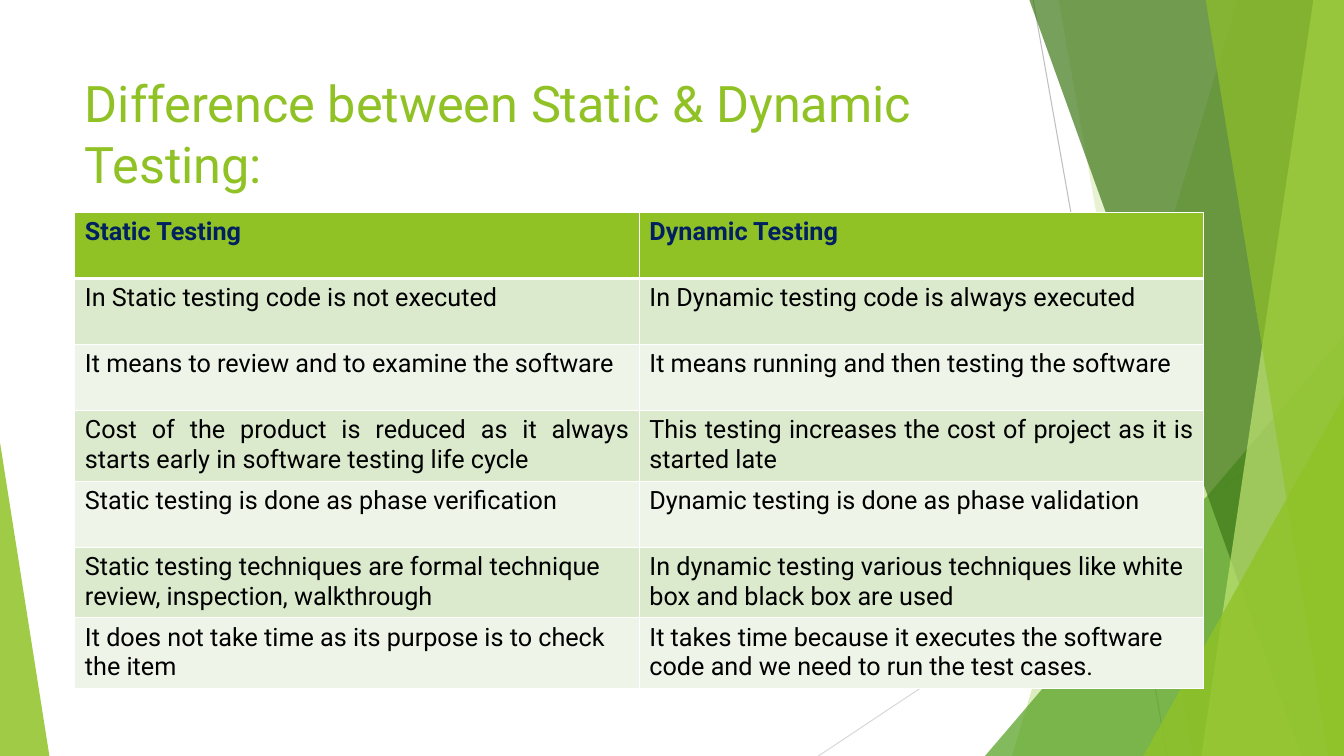
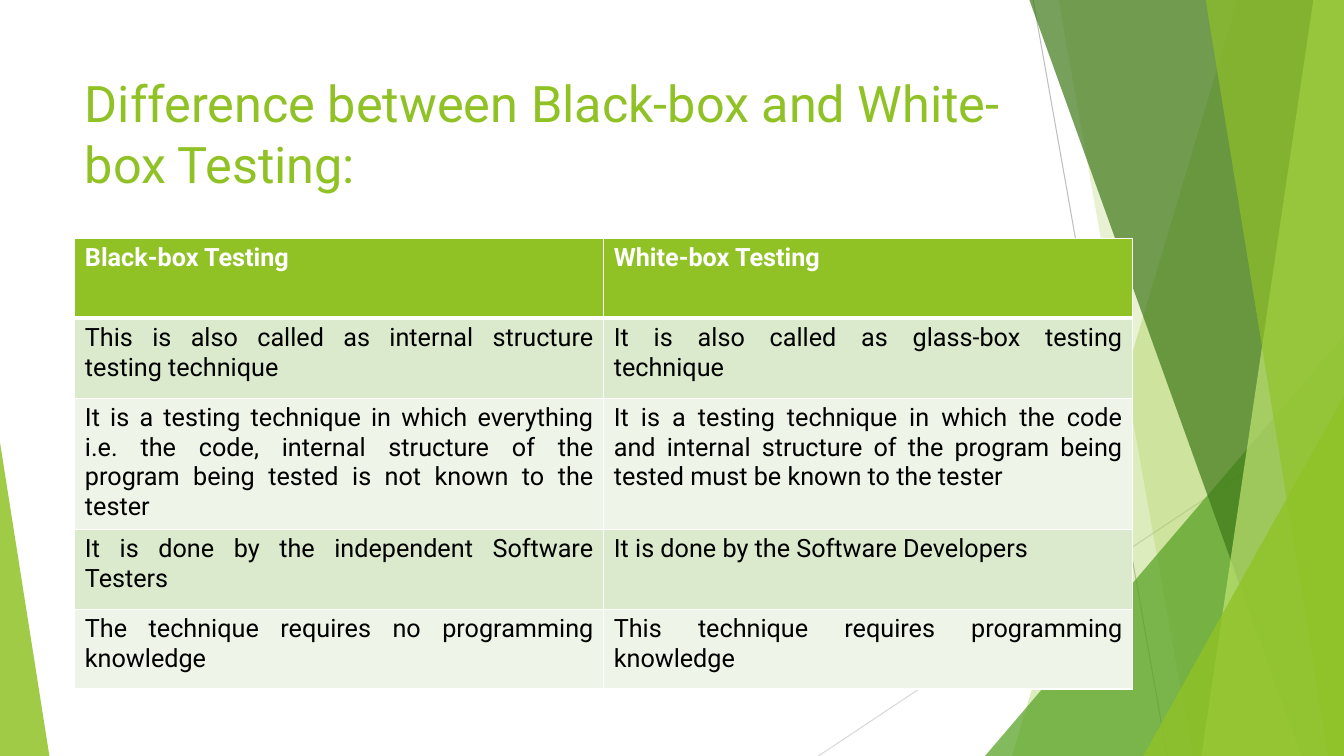
from lxml.etree import SubElement
from pptx import Presentation
from pptx.dml.color import RGBColor
from pptx.enum.shapes import MSO_CONNECTOR, MSO_SHAPE
from pptx.enum.text import MSO_ANCHOR, PP_ALIGN
from pptx.oxml.ns import qn
from pptx.util import Pt

GREEN = RGBColor(0x90, 0xC2, 0x26)
LEAF = RGBColor(0x54, 0xA0, 0x21)
FOREST = RGBColor(0x3F, 0x78, 0x19)
LIME = RGBColor(0xC0, 0xE4, 0x74)
BAND = RGBColor(0xDB, 0xE9, 0xCD)
PALE_BAND = RGBColor(0xEE, 0xF4, 0xE8)
GREY = RGBColor(0xBF, 0xBF, 0xBF)
PALE_GREY = RGBColor(0xD9, 0xD9, 0xD9)
NAVY = RGBColor(0x00, 0x20, 0x60)
BLACK = RGBColor(0, 0, 0)
WHITE = RGBColor(0xFF, 0xFF, 0xFF)

WIDTH, HEIGHT = 960, 540
MARGIN = 53.5
BLEED = -0.6
TITLE_FORMAT = {"name": "Roboto", "size": Pt(36), "bold": False}
HEADER_FORMAT = {"name": "Roboto", "size": Pt(18), "bold": True}
BODY_FORMAT = {"name": "Roboto", "size": Pt(18), "bold": False}

STATIC_ROWS = [
    ("Static Testing", "Dynamic Testing"),
    ("In Static testing code is not executed",
     "In Dynamic testing code is always executed"),
    ("It means to review and to examine the software",
     "It means running and then testing the software"),
    ("Cost of the product is reduced as it always starts early in software "
     "testing life cycle",
     "This testing increases the cost of project as it is started late"),
    ("Static testing is done as phase verification",
     "Dynamic testing is done as phase validation"),
    ("Static testing techniques are formal technique review, inspection, "
     "walkthrough",
     "In dynamic testing various techniques like white box and black box "
     "are used"),
    ("It does not take time as its purpose is to check the item",
     "It takes time because it executes the software code and we need to "
     "run the test cases."),
]
BOX_ROWS = [
    ("Black-box Testing", "White-box Testing"),
    ("This is also called as internal structure testing technique",
     "It is also called as glass-box testing technique"),
    ("It is a testing technique in which everything i.e. the code, internal "
     "structure of the program being tested is not known to the tester",
     "It is a testing technique in which the code and internal structure of "
     "the program being tested must be known to the tester"),
    ("It is done by the independent Software Testers",
     "It is done by the Software Developers"),
    ("The technique requires no programming knowledge",
     "This technique requires programming knowledge"),
]


def write(para, text, colour, values):
    """Add one formatted span of text to a paragraph."""
    span = para.add_run()
    span.text = text
    span.font.color.rgb = colour
    for name, value in values.items():
        setattr(span.font, name, value)


def paint(shape, colour, opacity):
    """Give a shape a see-through fill, without line or shadow."""
    shape.shadow.inherit = False
    shape.line.fill.background()
    shape.fill.solid()
    shape.fill.fore_color.rgb = colour
    tone = shape.fill._xPr.find(qn("a:solidFill"))[0]
    SubElement(tone, qn("a:alpha"), val=str(opacity * 1000))


def add_line(page, start, end, colour):
    """Draw a thin straight line."""
    line = page.shapes.add_connector(
        MSO_CONNECTOR.STRAIGHT, *(Pt(value) for value in start + end))
    line.line.color.rgb = colour
    line.line.width = Pt(0.75)
    SubElement(line._element.spPr, qn("a:effectLst"))


def add_panel(page, top_x, bottom_x, colour, opacity):
    """Draw a panel from a slanted left edge to the right page edge."""
    builder = page.shapes.build_freeform(Pt(top_x), Pt(BLEED))
    corners = [(WIDTH, BLEED), (WIDTH, HEIGHT), (bottom_x, HEIGHT)]
    builder.add_line_segments([(Pt(x), Pt(y)) for x, y in corners])
    paint(builder.convert_to_shape(), colour, opacity)


def add_corner(page, left, top, width, apex, colour, opacity):
    """Draw a triangle that stands on the bottom page edge."""
    corner = page.shapes.add_shape(
        MSO_SHAPE.ISOSCELES_TRIANGLE, Pt(left), Pt(top), Pt(width),
        Pt(HEIGHT - top))
    corner.adjustments[0] = apex
    paint(corner, colour, opacity)


def add_facets(page):
    """Draw the shared green backdrop."""
    add_line(page, (738, 0), (833.8, HEIGHT), GREY)
    add_line(page, (WIDTH, 290.2), (584.6, HEIGHT), PALE_GREY)
    add_panel(page, 884.2, 722.9, GREEN, 30)
    add_panel(page, 756, 851.8, GREEN, 20)
    add_corner(page, 703.6, 239.8, 256.4, 1, LEAF, 72)
    add_panel(page, 735.1, 929.5, FOREST, 70)
    add_panel(page, 938.2, 858.2, LIME, 70)
    add_panel(page, 861.1, 949, GREEN, 65)
    add_corner(page, 816.6, 283, 143.4, 1, GREEN, 80)
    add_corner(page, 0, 316.1, 35.3, 0, GREEN, 85)


def add_title(page, text):
    """Write the page title."""
    box = page.shapes.add_textbox(
        Pt(MARGIN), Pt(48), Pt(676.8), Pt(104))
    box.text_frame.word_wrap = True
    box.text_frame.vertical_anchor = MSO_ANCHOR.TOP
    write(box.text_frame.paragraphs[0], text, GREEN, TITLE_FORMAT)


def add_borders(cell, top, bottom):
    """Draw white cell borders; top and bottom widths are in points."""
    widths = {"a:lnL": 1, "a:lnR": 1, "a:lnT": top, "a:lnB": bottom}
    for tag, width in widths.items():
        edge = SubElement(cell._tc.get_or_add_tcPr(), qn(tag),
                          w=str(Pt(width)))
        fill = SubElement(edge, qn("a:solidFill"))
        SubElement(fill, qn("a:srgbClr"), val=str(WHITE))


def add_comparison(page, rows, top, width, row_height, header_colour,
                   justified):
    """Build a two-column table whose first body rows are justified."""
    table = page.shapes.add_table(
        len(rows), 2, Pt(MARGIN), Pt(top), Pt(width),
        Pt(row_height * len(rows))).table
    for column in table.columns:
        column.width = Pt(width / 2)
    for index, texts in enumerate(rows):
        table.rows[index].height = Pt(row_height)
        header = index == 0
        band = GREEN if header else (PALE_BAND, BAND)[index % 2]
        for cell, text in zip(table.rows[index].cells, texts):
            add_borders(cell, 3 if index == 1 else 1, 3 if header else 1)
            cell.fill.solid()
            cell.fill.fore_color.rgb = band
            para = cell.text_frame.paragraphs[0]
            para.alignment = (PP_ALIGN.JUSTIFY if 1 <= index <= justified
                              else PP_ALIGN.LEFT)
            write(para, text, header_colour if header else BLACK,
                  HEADER_FORMAT if header else BODY_FORMAT)


def add_page(deck, title):
    """Add a blank page with the backdrop and a title."""
    page = deck.slides.add_slide(deck.slide_layouts[6])
    add_facets(page)
    add_title(page, title)
    return page


def main():
    """Build and save the deck."""
    deck = Presentation()
    deck.slide_width, deck.slide_height = Pt(WIDTH), Pt(HEIGHT)
    page = add_page(deck, "Difference between Static & Dynamic Testing:")
    add_comparison(page, STATIC_ROWS, top=151.7, width=806.4,
                   row_height=47.2, header_colour=NAVY, justified=3)
    page = add_page(deck, "Difference between Black-box and White-box Testing:")
    add_comparison(page, BOX_ROWS, top=170.2, width=755.6,
                   row_height=57.1, header_colour=WHITE, justified=4)
    deck.save("out.pptx")


main()
